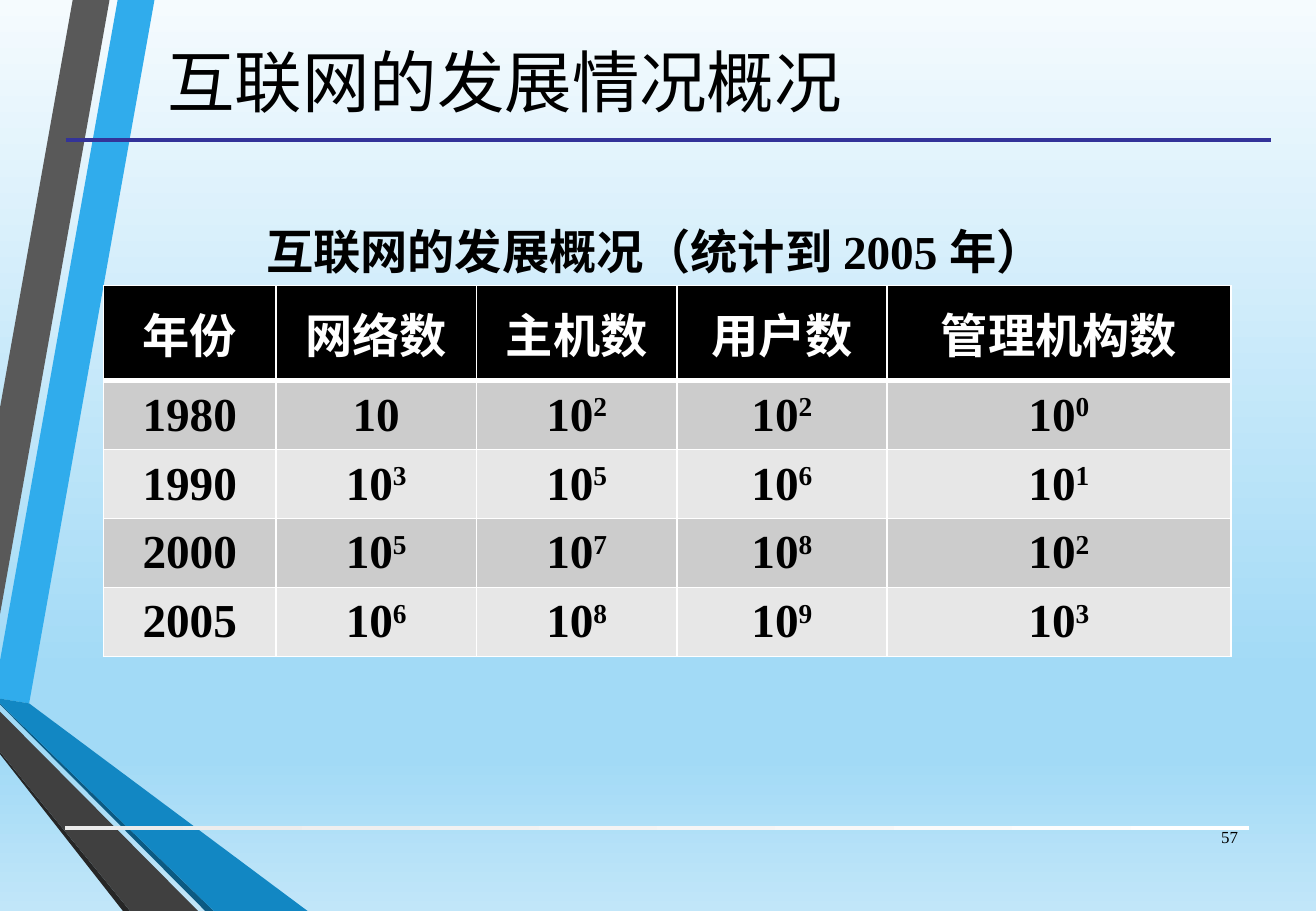
from lxml import etree
from pptx import Presentation
from pptx.dml.color import RGBColor
from pptx.enum.text import MSO_ANCHOR, PP_ALIGN
from pptx.enum.shapes import MSO_CONNECTOR, MSO_SHAPE
from pptx.oxml.ns import qn
from pptx.util import Cm, Pt

CENTER, RIGHT = PP_ALIGN.CENTER, PP_ALIGN.RIGHT
TOP, MIDDLE = MSO_ANCHOR.TOP, MSO_ANCHOR.MIDDLE
STRAIGHT, RECTANGLE = MSO_CONNECTOR.STRAIGHT, MSO_SHAPE.RECTANGLE

FONT = "Times New Roman"
WIDTH, HEIGHT = 27.51, 19.05
COLORS = {
    "black": "000000", "white": "FFFFFF", "rule": "333399",
    "band_dark": "CCCCCC", "band_light": "E7E7E7", "bar_start": "EBEBEB",
    "sky_top": "F5FBFE", "sky_deep": "A2DAF6", "sky_bottom": "C1E6F9",
    "blue": "30ACEC", "blue_fold": "1287C3", "blue_edge": "0C5A82",
    "gray": "595959", "gray_fold": "404040", "gray_edge": "262626",
}
SKY = [(0, "sky_top"), (74, "sky_deep"), (83, "sky_deep"), (100, "sky_bottom")]
RIBBONS = [
    ("blue", [(0, 13.82), (0, 14.61), (0.61, 14.71), (3.23, 0), (2.46, 0)]),
    ("gray", [(2.29, 0), (1.52, 0), (0, 8.53), (0, 12.85)]),
    ("gray_edge", [(0, 15.72), (0, 15.77), (2.57, HEIGHT), (2.72, HEIGHT)]),
    ("blue_edge", [(0, 14.71), (0, 14.73), (4.29, HEIGHT), (4.47, HEIGHT)]),
    ("blue_fold", [(0, 14.71), (4.47, HEIGHT), (6.43, HEIGHT), (0.61, 14.71), (0, 14.61)]),
    ("gray_fold", [(0, 15.72), (2.72, HEIGHT), (4.14, HEIGHT), (0, 14.88)]),
]

COLUMN_WIDTHS = [3.61, 4.19, 4.19, 4.39, 7.19]
HEADER_HEIGHT, ROW_HEIGHT = 1.99, 1.35
# A caret separates a base from its exponent.
GROWTH = [
    ["年份", "网络数", "主机数", "用户数", "管理机构数"],
    ["1980", "10", "10^2", "10^2", "10^0"],
    ["1990", "10^3", "10^5", "10^6", "10^1"],
    ["2000", "10^5", "10^7", "10^8", "10^2"],
    ["2005", "10^6", "10^8", "10^9", "10^3"],
]


def rgb(name):
    return RGBColor.from_string(COLORS[name])


def write_text(frame, text, size=28, bold=False, color="black", align=CENTER):
    """Write one paragraph, raising whatever follows a caret."""
    paragraph = frame.paragraphs[0]
    paragraph.alignment = align
    for position, part in enumerate(text.split("^")):
        run = paragraph.add_run()
        run.text = part
        run.font.name = FONT
        run.font.size = Pt(size)
        run.font.bold = bold
        run.font.color.rgb = rgb(color)
        if position:
            run.font._element.set("baseline", "30000")


def add_text(slide, box, text, anchor=MIDDLE, **text_format):
    frame = slide.shapes.add_textbox(*map(Cm, box)).text_frame
    frame.word_wrap = True
    frame.vertical_anchor = anchor
    write_text(frame, text, **text_format)


def set_gradient(element, fill, stops, angle):
    fill.gradient()
    fill.gradient_angle = angle
    stop_list = next(element.iter(qn("a:gsLst")))
    for old_stop in list(stop_list):
        stop_list.remove(old_stop)
    for percent, color in stops:
        stop = etree.SubElement(stop_list, qn("a:gs"), pos=str(percent * 1000))
        etree.SubElement(stop, qn("a:srgbClr"), val=COLORS[color])


def add_ribbons(slide, left, top):
    for color, points in RIBBONS:
        corners = [(Cm(left + x), Cm(top + y)) for x, y in points]
        builder = slide.shapes.build_freeform(*corners[0])
        builder.add_line_segments(corners[1:], close=True)
        ribbon = builder.convert_to_shape()
        ribbon.shadow.inherit = False
        ribbon.fill.solid()
        ribbon.fill.fore_color.rgb = rgb(color)
        ribbon.line.fill.background()


def add_heading(slide, left, top, width):
    add_text(slide, (left, top, 21.1, 3.38), "互联网的发展情况概况", size=40)
    rule_y = Cm(top + 2.92)
    rule = slide.shapes.add_connector(
        STRAIGHT, Cm(left + 1.37), rule_y, Cm(left + width - 0.94), rule_y)
    rule.line.color.rgb = rgb("rule")
    rule.line.width = Pt(2.25)
    etree.SubElement(rule._element.spPr, qn("a:effectLst"))


def add_footer(slide, left, top, width):
    bar = slide.shapes.add_shape(
        RECTANGLE, Cm(left), Cm(top), Cm(width), Cm(0.08))
    bar.shadow.inherit = False
    set_gradient(bar._element, bar.fill, [(0, "bar_start"), (100, "white")], 0)
    bar.line.fill.background()
    add_text(slide, (left + width - 1.23, top - 0.28, 1.24, 1.02), "57",
             size=10, align=RIGHT)


def set_borders(cell, top=1, bottom=1):
    properties = cell._tc.get_or_add_tcPr()
    sides = [("L", 1), ("R", 1), ("T", top), ("B", bottom)]
    for position, (side, points) in enumerate(sides):
        border = etree.Element(qn(f"a:ln{side}"), w=str(Pt(points)))
        fill = etree.SubElement(border, qn("a:solidFill"))
        etree.SubElement(fill, qn("a:srgbClr"), val=COLORS["white"])
        properties.insert(position, border)


def add_growth_table(slide, left, top):
    width = sum(COLUMN_WIDTHS)
    height = HEADER_HEIGHT + ROW_HEIGHT * (len(GROWTH) - 1)
    add_text(slide, (left + 2.26, top - 1.45, 18.54, 1.45),
             "互联网的发展概况（统计到 2005 年）", anchor=TOP, bold=True)
    table = slide.shapes.add_table(
        len(GROWTH), len(COLUMN_WIDTHS),
        Cm(left), Cm(top), Cm(width), Cm(height)).table
    for column, column_width in zip(table.columns, COLUMN_WIDTHS):
        column.width = Cm(column_width)
    for index, (row, entries) in enumerate(zip(table.rows, GROWTH)):
        is_header = index == 0
        row.height = Cm(HEADER_HEIGHT if is_header else ROW_HEIGHT)
        band = "band_dark" if index % 2 else "band_light"
        for cell, entry in zip(row.cells, entries):
            cell.vertical_anchor = MIDDLE
            cell.fill.solid()
            cell.fill.fore_color.rgb = rgb("black" if is_header else band)
            set_borders(cell, top=3 if index == 1 else 1,
                        bottom=3 if is_header else 1)
            write_text(cell.text_frame, entry, bold=True,
                       color="white" if is_header else "black")


def main():
    deck = Presentation()
    deck.slide_width, deck.slide_height = Cm(WIDTH), Cm(HEIGHT)
    slide = deck.slides.add_slide(deck.slide_layouts[6])
    set_gradient(slide.element, slide.background.fill, SKY, 270)
    add_ribbons(slide, 0, 0)
    add_heading(slide, 0, 0, WIDTH)
    add_growth_table(slide, 2.16, 5.97)
    add_footer(slide, 1.35, 17.27, 24.77)
    deck.save("out.pptx")


if __name__ == "__main__":
    main()
